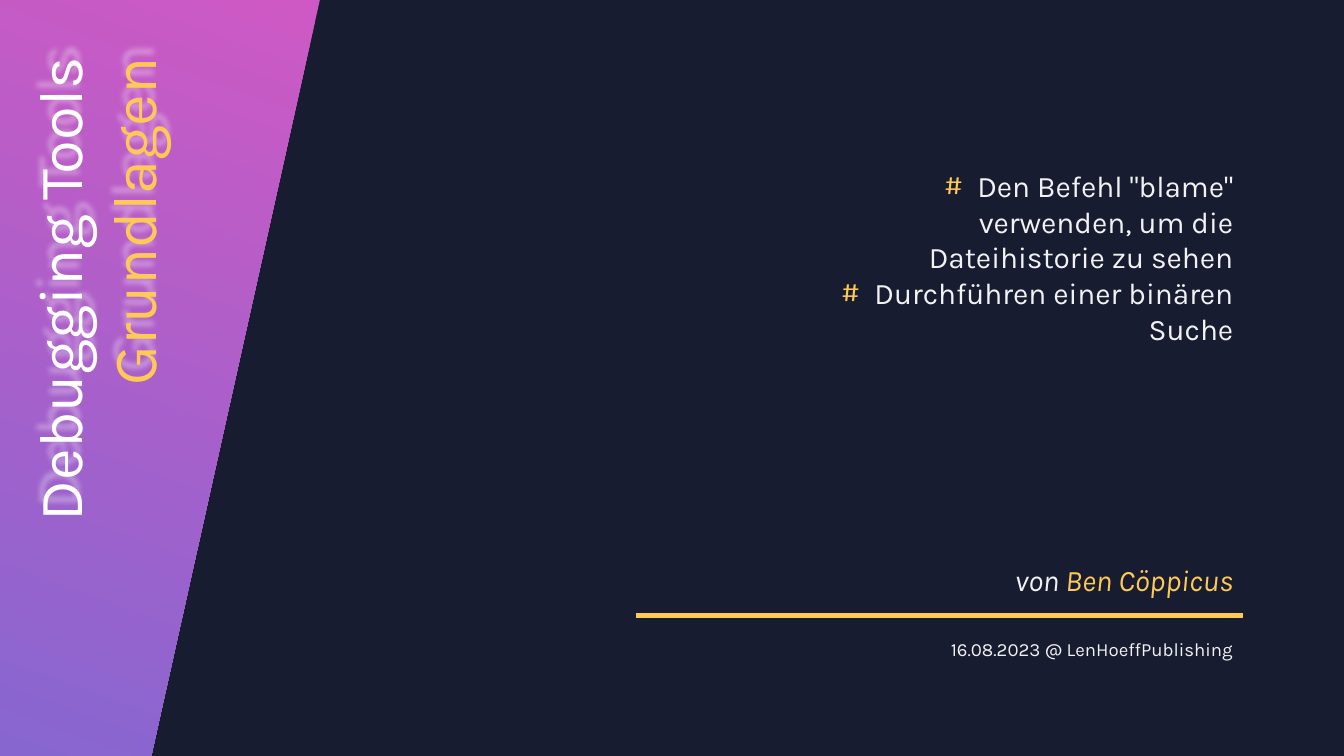
from dataclasses import dataclass

from lxml import etree
from pptx import Presentation, util as u
from pptx.dml.color import RGBColor
from pptx.enum import shapes, text
from pptx.oxml import ns


@dataclass(frozen=True)
class Theme:
    font: str = "Karla"
    back: str = "171C30"
    pink: str = "CE59C4"
    violet: str = "8766D0"
    accent: str = "FFC955"
    white: str = "FFFFFF"
    body: str = "F2F2F5"
    title_size: float = 44
    text_size: float = 21.3
    small_size: float = 13.3
    rule_width: float = 3


T = Theme()
W, H = u.Inches(13.33), u.Inches(7.5)


def rgb(color):
    return RGBColor.from_string(color)


def child(parent, tag, **attrs):
    return etree.SubElement(parent, ns.qn(tag), attrs)


def add_text(s, box, paragraphs, size, italic=False):
    sp = s.shapes.add_textbox(*map(u.Emu, map(int, box)))
    tf = sp.text_frame
    tf.word_wrap = True
    tf.auto_size = text.MSO_AUTO_SIZE.SHAPE_TO_FIT_TEXT
    for i, runs in enumerate(paragraphs):
        p = tf.add_paragraph() if i else tf.paragraphs[0]
        p.alignment = text.PP_ALIGN.RIGHT
        for words, color in runs:
            r = p.add_run()
            r.text = words
            r.font.name, r.font.size = T.font, u.Pt(size)
            r.font.color.rgb = rgb(color)
            if italic:
                r.font.italic = True
    return sp


def add_glow_shadow(sp):
    effects = child(sp._element.spPr, "a:effectLst")
    shadow = child(effects, "a:outerShdw", blurRad=str(u.Pt(4)), dist=str(u.Pt(10)),
                   dir=str(253 * 60000), algn="ctr", rotWithShape="0")
    child(child(shadow, "a:srgbClr", val=T.white), "a:alpha", val="40000")


def add_hash_bullet(p):
    pPr = p._p.get_or_add_pPr()
    indent = u.Inches(0.33)
    pPr.set("marL", str(indent))
    pPr.set("indent", str(-indent))
    child(child(pPr, "a:buClr"), "a:srgbClr", val=T.accent)
    child(pPr, "a:buFont", typeface=T.font)
    child(pPr, "a:buChar", char="#")


def title_band(s, x, y, w, h):
    fb = s.shapes.build_freeform(int(x), int(y))
    fb.add_line_segments([(int(x + w), int(y)), (int(x + 0.473 * w), int(y + h)),
                          (int(x), int(y + h))], close=True)
    band = fb.convert_to_shape()
    band.shadow.inherit = False
    band.line.fill.background()
    band.fill.gradient()
    band.fill.gradient_angle = 250
    for stop, color, pos in zip(band.fill.gradient_stops, (T.pink, T.violet), (0, 1)):
        stop.color.rgb, stop.position = rgb(color), pos

    tw, th = 0.875 * h, 0.498 * w
    cx, cy = x + 0.3 * w, y + 0.5 * h
    title = add_text(s, (cx - tw / 2, cy - th / 2, tw, th),
                     [[("Debugging Tools", T.white)], [("Grundlagen", T.accent)]],
                     T.title_size)
    title.rotation = 270
    add_glow_shadow(title)


def topics(s, x, y, w, h):
    sp = add_text(s, (x, y, w, h),
                  [[('Den Befehl "blame" verwenden, um die Dateihistorie zu sehen', T.body)],
                   [("Durchführen einer binären Suche", T.body)]], T.text_size)
    for p in sp.text_frame.paragraphs:
        add_hash_bullet(p)


def byline(s, x, y, w, h):
    rule_y = int(y + 0.537 * h)
    rule = s.shapes.add_connector(shapes.MSO_CONNECTOR.STRAIGHT,
                                  int(x), rule_y, int(x + w), rule_y)
    rule.line.color.rgb = rgb(T.accent)
    rule.line.width = u.Pt(T.rule_width)
    child(rule._element.spPr, "a:effectLst")
    add_text(s, (x + 0.264 * w, y, 0.736 * w, 0.426 * h),
             [[("von ", T.body), ("Ben Cöppicus", T.accent)]], T.text_size, italic=True)
    add_text(s, (x + 0.162 * w, y + 0.694 * h, 0.838 * w, 0.306 * h),
             [[("16.08.2023 @ LenHoeffPublishing", T.body)]], T.small_size)


def main():
    prs = Presentation()
    prs.slide_width, prs.slide_height = W, H
    s = prs.slides.add_slide(prs.slide_layouts[6])
    s.background.fill.solid()
    s.background.fill.fore_color.rgb = rgb(T.back)
    title_band(s, 0, 0, 0.238 * W, H)
    topics(s, 0.613 * W, 0.215 * H, 0.312 * W, 0.253 * H)
    byline(s, 0.473 * W, 0.737 * H, 0.452 * W, 0.144 * H)
    prs.save("out.pptx")


if __name__ == "__main__":
    main()
